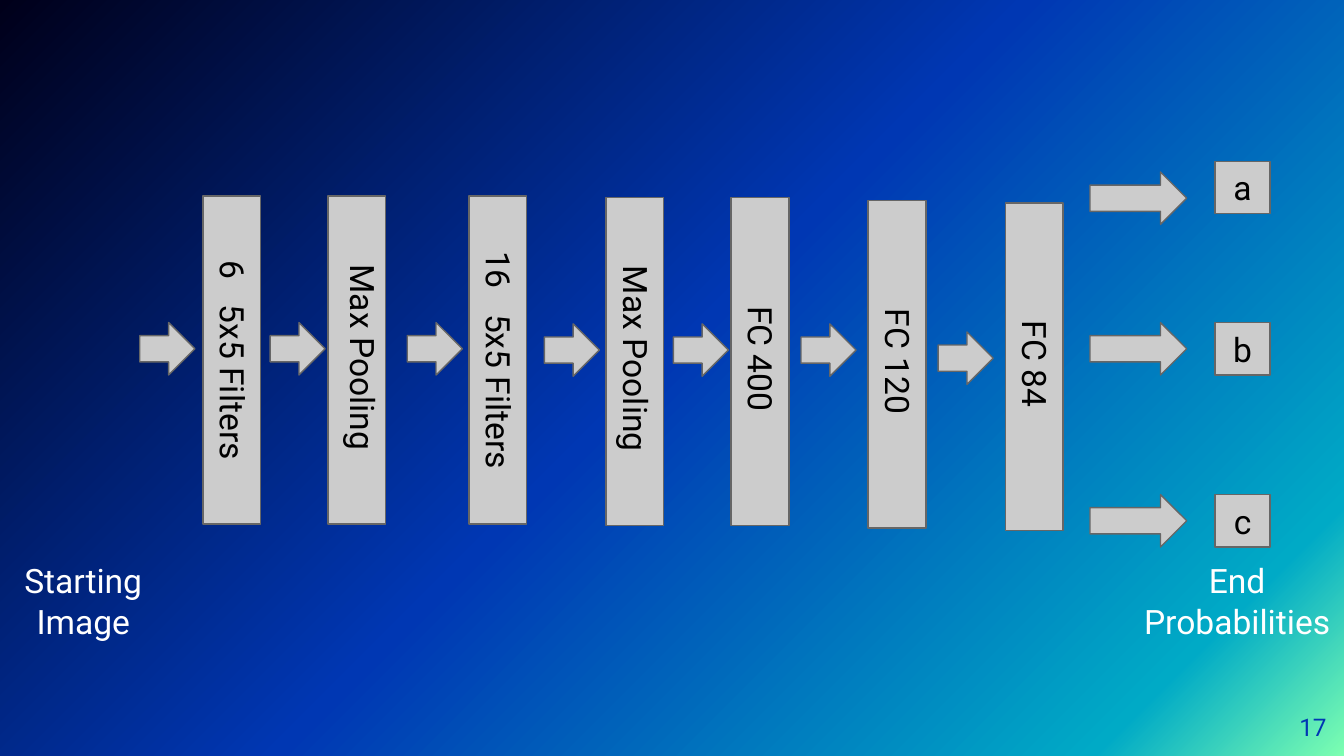
from pptx import Presentation
from pptx.dml.color import RGBColor
from pptx.enum.shapes import MSO_SHAPE
from pptx.enum.text import MSO_ANCHOR, PP_ALIGN
from pptx.oxml import parse_xml
from pptx.oxml.ns import nsdecls
from pptx.util import Inches, Pt

# Content: label, layer left and top, incoming arrow left and top, label shift
LAYERS = [
    ("6 5x5 Filters", 1.51, 1.46, 1.04, 2.40, (0, 0.02)),
    ("Max Pooling", 2.44, 1.46, 2.01, 2.40, (0.04, 0)),
    ("16 5x5 Filters", 3.49, 1.46, 3.03, 2.40, (0, 0.02)),
    ("Max Pooling", 4.51, 1.47, 4.05, 2.41, (0, 0)),
    ("FC 400", 5.44, 1.47, 5.01, 2.41, (0, 0)),
    ("FC 120", 6.46, 1.49, 5.96, 2.41, (0, 0)),
    ("FC 84", 7.48, 1.51, 6.98, 2.47, (0, 0)),
]
# Class label, its box top, its arrow top
OUTPUTS = [("a", 1.20, 1.28), ("b", 2.40, 2.40), ("c", 3.68, 3.68)]
# Caption, left, width
CAPTIONS = [("Starting Image", 0, 1.24), ("End Probabilities", 8.41, 1.59)]
PAGE_NUMBER = "17"

THEME = {
    "font": "Roboto", "size": 18, "number_size": 13,
    "block": "CCCCCC", "outline": "666666",
    "dark": "000000", "light": "FFFFFF", "number": "0037B3",
    "gradient": [(0, "7DFFB1"), (12, "00AAC6"), (51, "0037B3"), (100, "00001A")],
    "gradient_angle": 225,
}
SLIDE_W = 10
SLIDE_H = SLIDE_W * 9 / 16
LAYER_W, LAYER_H = 0.43, 2.44
LABEL_W, LABEL_H = 2.46, 0.37
ARROW_W, LONG_ARROW_W, OUTPUT_W, ROW_H = 0.41, 0.72, 0.41, 0.39
ARROW_OUT_LEFT, OUTPUT_LEFT = 8.11, 9.04
CAPTION_TOP, CAPTION_H = 4.07, 0.64


def paint_background(slide):
    stops = "".join(
        f'<a:gs pos="{pos * 1000}"><a:srgbClr val="{color}"/></a:gs>'
        for pos, color in THEME["gradient"])
    background = parse_xml(
        f'<p:bg {nsdecls("p", "a")}><p:bgPr><a:gradFill rotWithShape="1">'
        f'<a:gsLst>{stops}</a:gsLst>'
        f'<a:lin ang="{THEME["gradient_angle"] * 60000}" scaled="0"/>'
        '</a:gradFill><a:effectLst/></p:bgPr></p:bg>')
    slide.element.cSld.insert(0, background)


def write(holder, text, size=THEME["size"], color=THEME["dark"],
          align=PP_ALIGN.CENTER, anchor=MSO_ANCHOR.MIDDLE, inset=0.1, gap=0):
    """Write one paragraph; gap widens its first space by that many points."""
    frame = holder.text_frame
    frame.word_wrap = True
    frame.vertical_anchor = anchor
    frame.margin_left = frame.margin_right = Inches(inset)
    frame.margin_top = frame.margin_bottom = Inches(inset)
    paragraph = frame.paragraphs[0]
    paragraph.alignment = align
    for part in text.partition(" ") if gap else [text]:
        run = paragraph.add_run()
        run.text = part
        run.font.name = THEME["font"]
        run.font.size = Pt(size)
        run.font.color.rgb = RGBColor.from_string(color)
        if part == " ":
            run.font._element.set("spc", str(gap * 100))


def add_block(slide, kind, left, top, width, height):
    block = slide.shapes.add_shape(
        kind, Inches(left), Inches(top), Inches(width), Inches(height))
    block.shadow.inherit = False
    block.fill.solid()
    block.fill.fore_color.rgb = RGBColor.from_string(THEME["block"])
    block.line.color.rgb = RGBColor.from_string(THEME["outline"])
    block.line.width = Pt(0.75)
    return block


def add_text(slide, text, left, top, width, height, rotation=0, **text_format):
    box = slide.shapes.add_textbox(
        Inches(left), Inches(top), Inches(width), Inches(height))
    box.rotation = rotation
    write(box, text, **text_format)


def main():
    prs = Presentation()
    prs.slide_width, prs.slide_height = Inches(SLIDE_W), Inches(SLIDE_H)
    slide = prs.slides.add_slide(prs.slide_layouts[6])
    paint_background(slide)

    # Network layers, each with its incoming arrow and a turned label
    for label, left, top, arrow_left, arrow_top, (shift_x, shift_y) in LAYERS:
        add_block(slide, MSO_SHAPE.RIGHT_ARROW, arrow_left, arrow_top, ARROW_W, ROW_H)
        add_block(slide, MSO_SHAPE.RECTANGLE, left, top, LAYER_W, LAYER_H)
        add_text(slide, label,
                 left + (LAYER_W - LABEL_W) / 2 + 0.01 + shift_x,
                 top + (LAYER_H - LABEL_H) / 2 - 0.02 + shift_y,
                 LABEL_W, LABEL_H, rotation=90,
                 gap=9 if "Filters" in label else 0)

    # Output classes
    for label, top, arrow_top in OUTPUTS:
        add_block(slide, MSO_SHAPE.RIGHT_ARROW, ARROW_OUT_LEFT, arrow_top,
                  LONG_ARROW_W, ROW_H)
        output = add_block(slide, MSO_SHAPE.RECTANGLE, OUTPUT_LEFT, top,
                           OUTPUT_W, ROW_H)
        write(output, label)

    # Captions and page number
    for caption, left, width in CAPTIONS:
        add_text(slide, caption, left, CAPTION_TOP, width, CAPTION_H,
                 color=THEME["light"], anchor=MSO_ANCHOR.TOP)
    add_text(slide, PAGE_NUMBER, 9.27, 5.19, 0.6, 0.43, inset=0,
             size=THEME["number_size"], color=THEME["number"],
             align=PP_ALIGN.RIGHT)

    prs.save("out.pptx")


if __name__ == "__main__":
    main()
